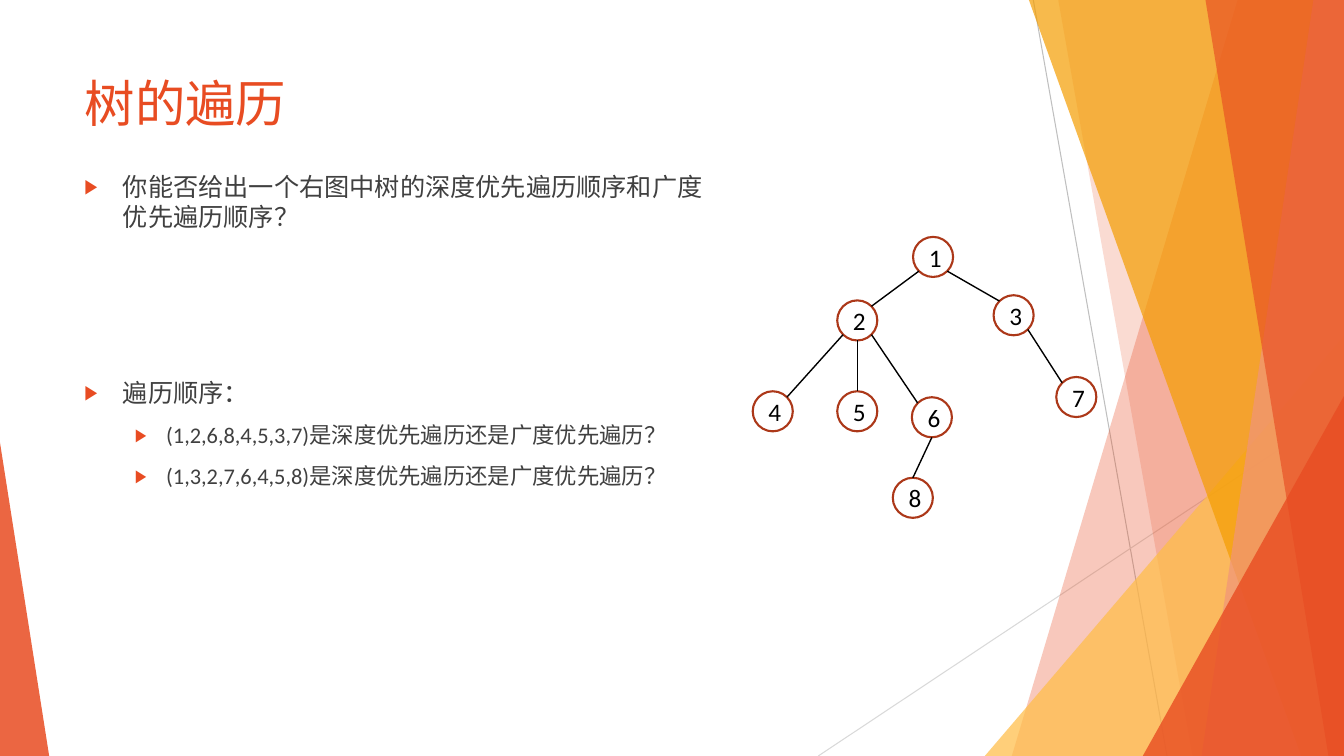
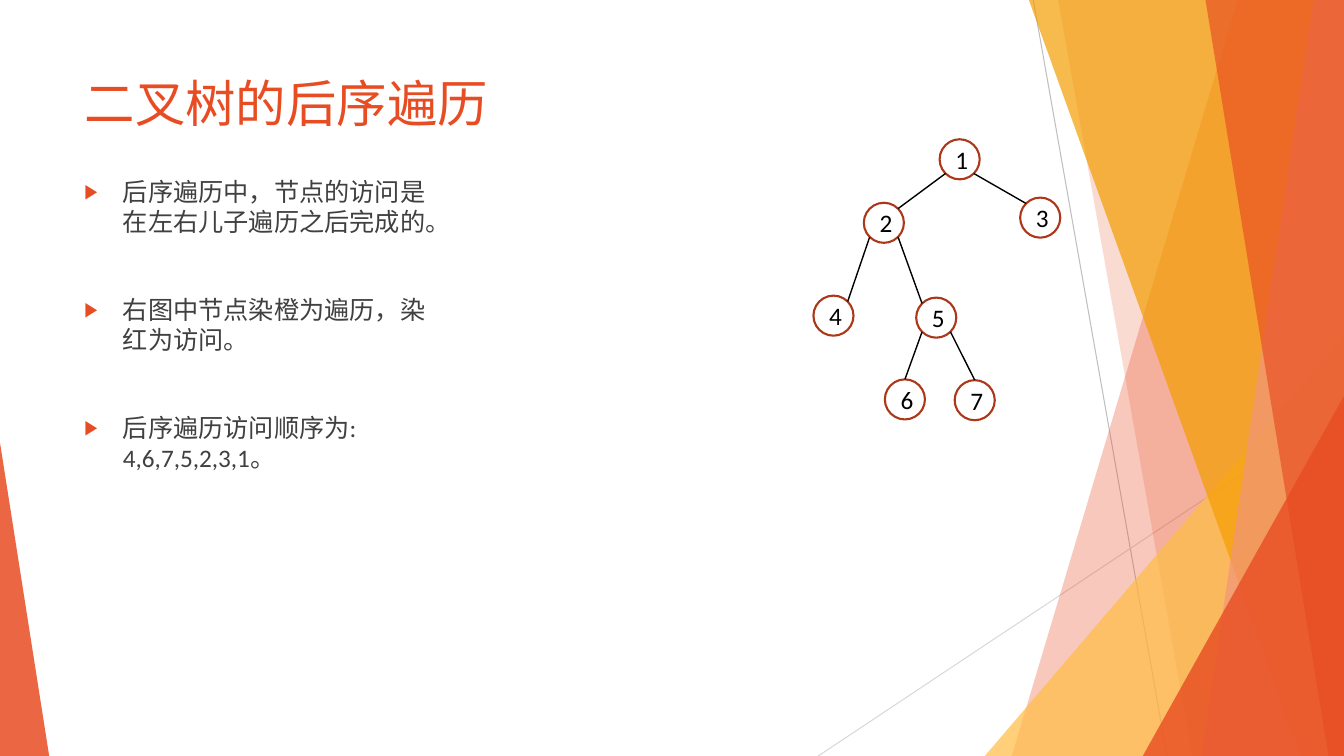
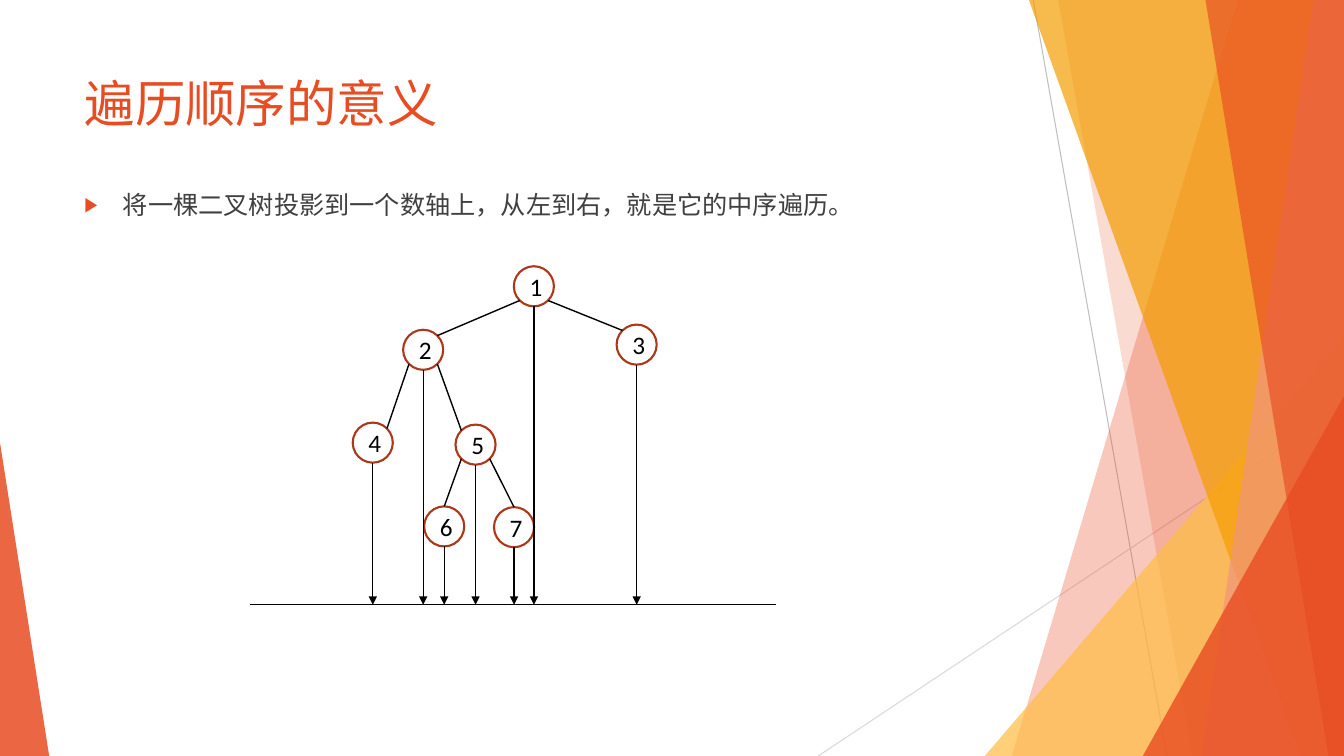
from dataclasses import dataclass
from math import sqrt

from lxml.etree import SubElement
from pptx import Presentation
from pptx.dml.color import RGBColor
from pptx.enum.lang import MSO_LANGUAGE_ID as Language
from pptx.enum.shapes import MSO_CONNECTOR as Connector, MSO_SHAPE as Preset
from pptx.enum.text import MSO_ANCHOR as Anchor, MSO_AUTO_SIZE as AutoSize, PP_ALIGN as Align
from pptx.oxml.ns import qn
from pptx.util import Cm, Pt


@dataclass(frozen=True)
class Theme:
    font: str = "Calibri"
    accent: str = "E84C22"
    salmon: str = "F1947A"
    amber: str = "FFBD47"
    orange: str = "F49D00"
    body: str = "404040"
    node_line: str = "AC3819"
    black: str = "000000"
    white: str = "FFFFFF"
    light_line: str = "BFBFBF"
    pale_line: str = "D9D9D9"
    title_size: int = 36
    text_size: int = 18
    detail_size: int = 16
    thin: float = 0.75
    edge: float = 1
    outline: float = 1.5


@dataclass(frozen=True)
class Bullet:
    text: str
    before: int = 10
    level: int = 0


THEME = Theme()
WIDTH, HEIGHT = 33.87, 19.05
MARGIN = 1.88
NODE = 1.01
INDENTS = [(0.97, -0.97), (2.06, -0.79)]

DIAGONAL = 0.5 / sqrt(2)
SITES = {
    "n": (0.5, 0),
    "s": (0.5, 1),
    "nw": (0.5 - DIAGONAL, 0.5 - DIAGONAL),
    "ne": (0.5 + DIAGONAL, 0.5 - DIAGONAL),
    "sw": (0.5 - DIAGONAL, 0.5 + DIAGONAL),
    "se": (0.5 + DIAGONAL, 0.5 + DIAGONAL),
}

GENERAL_NODES = {
    "1": (4.04, 0), "2": (2.13, 1.6), "3": (6.07, 1.47), "4": (0, 3.89),
    "5": (2.13, 3.89), "6": (4.01, 4.04), "8": (3.53, 6.07), "7": (7.65, 3.53),
}
GENERAL_EDGES = [
    "1 sw 2 ne", "2 sw 4 ne", "2 s 5 n", "2 se 6 nw",
    "6 s 8 n", "1 se 3 nw", "3 se 7 nw",
]
BINARY_NODES = {
    "1": (3.18, 0), "2": (1.27, 1.6), "3": (5.21, 1.47), "4": (0, 3.94),
    "5": (2.59, 3.99), "7": (3.56, 6.07), "6": (1.8, 6.05),
}
WIDE_BINARY_NODES = BINARY_NODES | {"1": (4.06, 0), "3": (6.65, 1.47)}
BINARY_EDGES = [
    "1 sw 2 ne", "2 sw 4 ne", "2 se 5 nw", "5 se 7 n", "1 se 3 nw", "5 sw 6 n",
]


def paint(shape, color, opacity=None):
    shape.shadow.inherit = False
    shape.fill.solid()
    shape.fill.fore_color.rgb = RGBColor.from_string(color)
    if opacity is not None:
        color_element = shape.element.find(".//" + qn("a:solidFill"))[0]
        SubElement(color_element, qn("a:alpha"), val=str(opacity * 1000))


def format_runs(paragraph, size, color):
    for run in paragraph.runs:
        run.font.name = THEME.font
        run.font.size = Pt(size)
        run.font.color.rgb = RGBColor.from_string(color)
        run.font.language_id = Language.SIMPLIFIED_CHINESE


def add_line(shapes, start, end, color=THEME.black, width=THEME.edge, arrow=False):
    points = [Cm(value) for value in (*start, *end)]
    connector = shapes.add_connector(Connector.STRAIGHT, *points)
    connector.line.width = Pt(width)
    connector.line.color.rgb = RGBColor.from_string(color)
    if arrow:
        SubElement(connector.element.find(".//" + qn("a:ln")), qn("a:tailEnd"), type="triangle")
    SubElement(connector.element.spPr, qn("a:effectLst"))


def add_band(shapes, top_x, bottom_x, color, opacity):
    builder = shapes.build_freeform(Cm(top_x), 0)
    corners = [(WIDTH, 0), (WIDTH, HEIGHT), (bottom_x, HEIGHT)]
    builder.add_line_segments([(Cm(x), Cm(y)) for x, y in corners])
    band = builder.convert_to_shape()
    paint(band, color, opacity)
    band.line.fill.background()


def add_corner(shapes, left, top, width, apex, color, opacity):
    corner = shapes.add_shape(
        Preset.ISOSCELES_TRIANGLE, Cm(left), Cm(top), Cm(width), Cm(HEIGHT - top))
    corner.adjustments[0] = apex
    paint(corner, color, opacity)
    corner.line.fill.background()


def decorate_layout(layout, slide):
    group = slide.shapes.add_group_shape()
    shapes = group.shapes
    add_line(shapes, (26.04, 0), (29.41, HEIGHT), THEME.light_line, THEME.thin)
    add_line(shapes, (WIDTH, 10.24), (20.62, HEIGHT), THEME.pale_line, THEME.thin)
    add_band(shapes, 31.19, 25.5, THEME.accent, 30)
    add_band(shapes, 26.67, 30.05, THEME.accent, 20)
    add_corner(shapes, 24.82, 8.46, WIDTH - 24.82, 1, THEME.amber, 72)
    add_band(shapes, 25.93, 32.79, THEME.orange, 70)
    add_band(shapes, 33.1, 30.28, THEME.salmon, 70)
    add_band(shapes, 30.38, 33.48, THEME.accent, 65)
    add_corner(shapes, 28.8, 9.98, WIDTH - 28.8, 1, THEME.accent, 80)
    add_corner(shapes, 0, 11.15, 1.24, 0, THEME.accent, 85)
    layout.shapes.element.insert(2, group.element)


def set_title(slide, text, height):
    title = slide.shapes.title
    title.left, title.top, title.width, title.height = Cm(MARGIN), Cm(1.7), Cm(23.88), Cm(height)
    frame = title.text_frame
    frame.text = text
    frame.word_wrap = True
    frame.auto_size = AutoSize.NONE
    frame.vertical_anchor = Anchor.TOP
    paragraph = frame.paragraphs[0]
    paragraph.alignment = Align.LEFT
    format_runs(paragraph, THEME.title_size, THEME.accent)


def add_bullet_mark(paragraph, level):
    properties = paragraph._p.get_or_add_pPr()
    left, hanging = INDENTS[level]
    properties.set("marL", str(Cm(left)))
    properties.set("indent", str(Cm(hanging)))
    color = SubElement(properties, qn("a:buClr"))
    SubElement(color, qn("a:srgbClr"), val=THEME.accent)
    SubElement(properties, qn("a:buSzPct"), val="80000")
    SubElement(properties, qn("a:buFont"), typeface=THEME.font)
    SubElement(properties, qn("a:buChar"), char="▶")


def add_bullets(slide, box, bullets):
    frame = slide.shapes.add_textbox(*[Cm(value) for value in box]).text_frame
    frame.word_wrap = True
    frame.text = "\n".join(bullet.text for bullet in bullets)
    for paragraph, bullet in zip(frame.paragraphs, bullets):
        add_bullet_mark(paragraph, bullet.level)
        paragraph.level = bullet.level
        paragraph.space_before = Pt(bullet.before)
        size = THEME.detail_size if bullet.level else THEME.text_size
        format_runs(paragraph, size, THEME.body)


def site_point(origin, position, site):
    return tuple(start + offset + NODE * share
                 for start, offset, share in zip(origin, position, SITES[site]))


def add_node(slide, origin, position, label):
    left, top = (start + offset for start, offset in zip(origin, position))
    node = slide.shapes.add_shape(Preset.OVAL, Cm(left), Cm(top), Cm(NODE), Cm(NODE))
    paint(node, THEME.white)
    node.line.color.rgb = RGBColor.from_string(THEME.node_line)
    node.line.width = Pt(THEME.outline)
    frame = node.text_frame
    frame.text = label
    frame.vertical_anchor = Anchor.MIDDLE
    frame.paragraphs[0].alignment = Align.CENTER
    format_runs(frame.paragraphs[0], THEME.text_size, THEME.black)


def add_tree(slide, origin, nodes, edges):
    for label, position in nodes.items():
        add_node(slide, origin, position, label)
    for edge in edges:
        parent, parent_site, child, child_site = edge.split()
        add_line(slide.shapes,
                 site_point(origin, nodes[parent], parent_site),
                 site_point(origin, nodes[child], child_site))


def add_projection(slide, origin, nodes, axis_left, axis_right, axis_y):
    left, top = origin
    level = top + axis_y
    add_line(slide.shapes, (left + axis_left, level), (left + axis_right, level))
    for position in nodes.values():
        start = site_point(origin, position, "s")
        add_line(slide.shapes, start, (start[0], level), arrow=True)


def build_traversal(slide):
    set_title(slide, "树的遍历", 2.24)
    add_bullets(slide, (MARGIN, 4.19, 16.59, 12.57), [
        Bullet("你能否给出一个右图中树的深度优先遍历顺序和广度优先遍历顺序？", 0),
        Bullet("遍历顺序：", 104),
        Bullet("(1,2,6,8,4,5,3,7)是深度优先遍历还是广度优先遍历？", level=1),
        Bullet("(1,3,2,7,6,4,5,8)是深度优先遍历还是广度优先遍历？", level=1),
    ])
    add_tree(slide, (18.97, 5.97), GENERAL_NODES, GENERAL_EDGES)


def build_postorder(slide):
    set_title(slide, "二叉树的后序遍历", 1.8)
    add_bullets(slide, (MARGIN, 4.32, 9.53, 12.47), [
        Bullet("后序遍历中，节点的访问是在左右儿子遍历之后完成的。", 0),
        Bullet("右图中节点染橙为遍历，染红为访问。", 41),
        Bullet("后序遍历访问顺序为:\t4,6,7,5,2,3,1。", 41),
    ])
    add_tree(slide, (20.5, 3.51), BINARY_NODES, BINARY_EDGES)


def build_meaning(slide):
    set_title(slide, "遍历顺序的意义", 1.96)
    add_bullets(slide, (MARGIN, 4.65, 23.88, 12.14), [
        Bullet("将一棵二叉树投影到一个数轴上，从左到右，就是它的中序遍历。", 0),
    ])
    origin = (8.89, 6.71)
    add_tree(slide, origin, WIDE_BINARY_NODES, BINARY_EDGES)
    add_projection(slide, origin, WIDE_BINARY_NODES, -2.59, 10.67, 8.53)


def main():
    presentation = Presentation()
    presentation.slide_width, presentation.slide_height = Cm(WIDTH), Cm(HEIGHT)
    layout = presentation.slide_layouts[5]
    builders = [build_traversal, build_postorder, build_meaning]
    slides = [presentation.slides.add_slide(layout) for _ in builders]
    decorate_layout(layout, slides[0])
    for build, slide in zip(builders, slides):
        build(slide)
    presentation.save("out.pptx")


if __name__ == "__main__":
    main()
